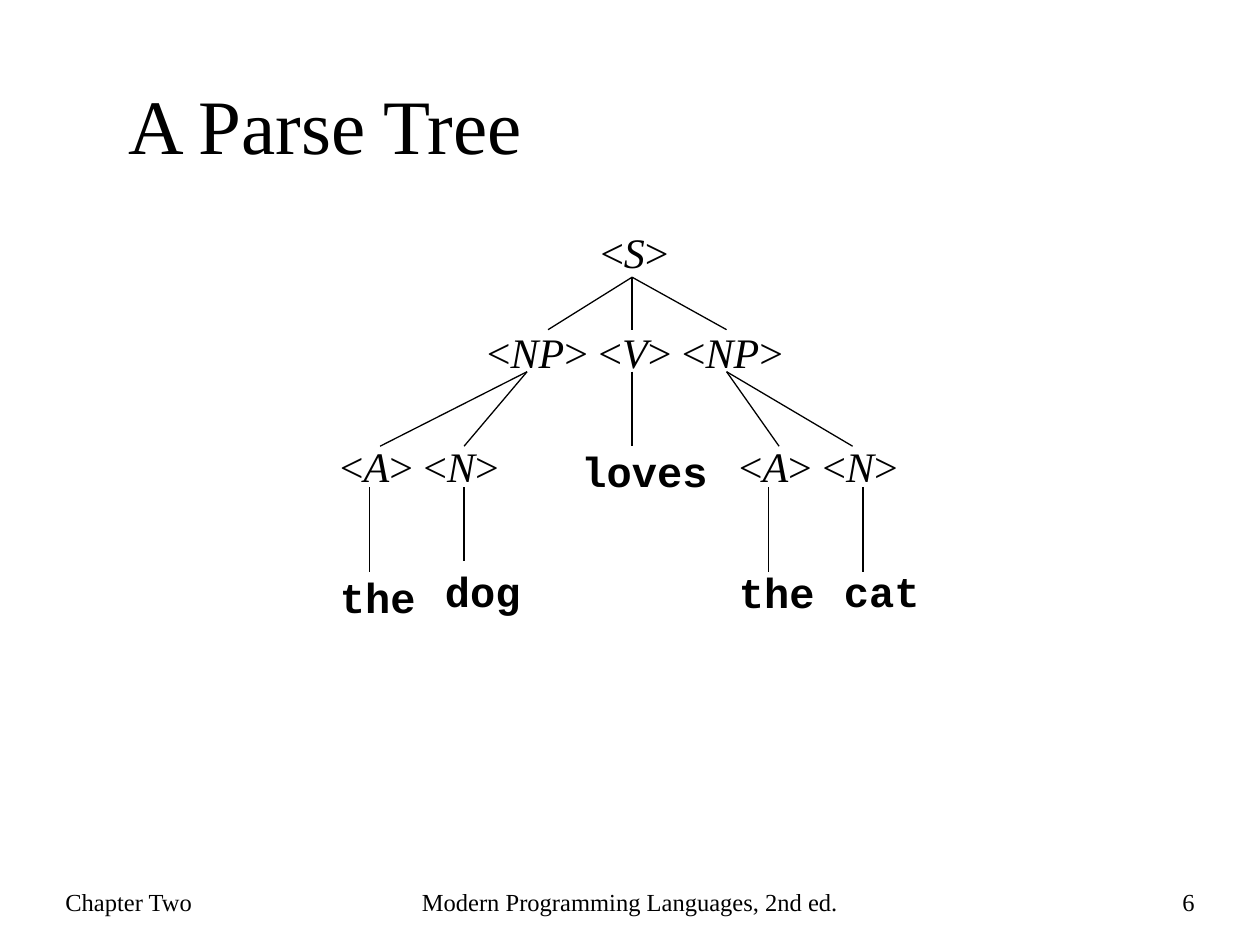
import itertools

import pptx
import pptx.dml.color
import pptx.enum.shapes
import pptx.enum.text
import pptx.oxml.ns
import pptx.util
from lxml import etree

WIDTH, HEIGHT = 10, 7.5
UNIT = 1 / 12  # side of a grid cell in the tree, in inches
SERIF, MONO = "Times New Roman", "Courier New"
BLACK = "000000"
ALIGN = pptx.enum.text.PP_ALIGN
ANCHOR = pptx.enum.text.MSO_ANCHOR

# Grammar symbols and words: text, column, row
SYMBOLS = [
    ("<S>", 24.8, 0),
    ("<NP> <V> <NP>", 14, 9.5),
    ("<A> <N>", 0, 20.4),
    ("<A> <N>", 38, 20.4),
]
WORDS = [
    ("the", 0, 32.8),
    ("dog", 10, 32.3),
    ("loves", 23, 20.8),
    ("the", 38, 32.4),
    ("cat", 48, 32.3),
]
# Branches: parent column and row, then the row and columns of the children
BRANCHES = [
    (29, 5.4, 10.4, [21, 29, 38]),
    (19, 14.4, 21.5, [5, 13]),
    (29, 14.4, 21.5, [29]),
    (38, 14.4, 21.5, [43, 50]),
    (4, 25.4, 33.5, [4]),
    (13, 25.4, 32.4, [13]),
    (42, 25.4, 33.5, [42]),
    (51, 25.4, 33.5, [51]),
]


def color(value):
    return pptx.dml.color.RGBColor.from_string(value)


def inches(*lengths):
    return [pptx.util.Inches(length) for length in lengths]


def add_text(slide, box, text, size, font=SERIF, bold=False, align=ALIGN.LEFT,
             anchor=ANCHOR.MIDDLE, wrap=True):
    """Place one line of text; letters inside angle brackets become italic."""
    shape = slide.shapes.add_textbox(*inches(*box))
    frame = shape.text_frame
    frame.word_wrap = wrap
    frame.vertical_anchor = anchor
    paragraph = frame.paragraphs[0]
    paragraph.alignment = align
    paragraph.font.size = pptx.util.Pt(size)
    paragraph.font.name = font
    paragraph.font.bold = bold
    paragraph.font.color.rgb = color(BLACK)
    if text.startswith("<"):
        for is_name, letters in itertools.groupby(text, str.isalpha):
            run = paragraph.add_run()
            run.text = "".join(letters)
            run.font.italic = is_name
    else:
        paragraph.add_run().text = text


def add_line(slide, start, end):
    line = slide.shapes.add_connector(
        pptx.enum.shapes.MSO_CONNECTOR.STRAIGHT, *inches(*start, *end))
    line.line.color.rgb = color(BLACK)
    line.line.width = pptx.util.Pt(0.75)
    properties = line._element.spPr
    etree.SubElement(properties, pptx.oxml.ns.qn("a:effectLst"))


def add_title(slide, box):
    add_text(slide, box, "A Parse Tree", 44)


def add_tree(slide, box):
    left, top, width, height = box

    def point(column, row):
        return left + column * UNIT, top + row * UNIT

    # Labels
    for labels, font, bold in ((SYMBOLS, SERIF, False), (WORDS, MONO, True)):
        for text, column, row in labels:
            add_text(slide, (*point(column, row), len(text) * 0.2 + 0.2, 0.5),
                     text, 24, font, bold, anchor=ANCHOR.TOP, wrap=False)
    # Branches
    for column, row, child_row, child_columns in BRANCHES:
        for child_column in child_columns:
            add_line(slide, point(column, row), point(child_column, child_row))


def add_footer(slide, box):
    left, top, width, height = box
    parts = [
        ("Chapter Two", 0, 2.25, ALIGN.LEFT),
        ("Modern Programming Languages, 2nd ed.", (width - 3.6) / 2, 3.6, ALIGN.CENTER),
        ("6", width - 2.08, 2.08, ALIGN.RIGHT),
    ]
    for text, offset, part_width, align in parts:
        add_text(slide, (left + offset, top, part_width, height), text, 14, align=align)


def main():
    presentation = pptx.Presentation()
    presentation.slide_width, presentation.slide_height = inches(WIDTH, HEIGHT)
    slide = presentation.slides.add_slide(presentation.slide_layouts[6])
    add_title(slide, (0.92, 0.38, 0.85 * WIDTH, 1.21))
    add_tree(slide, (2.6, 1.75, 0.48 * WIDTH, 0.43 * HEIGHT))
    add_footer(slide, (0.42, 6.91, WIDTH - 2 * 0.42, 0.5))
    presentation.save("out.pptx")


if __name__ == "__main__":
    main()
